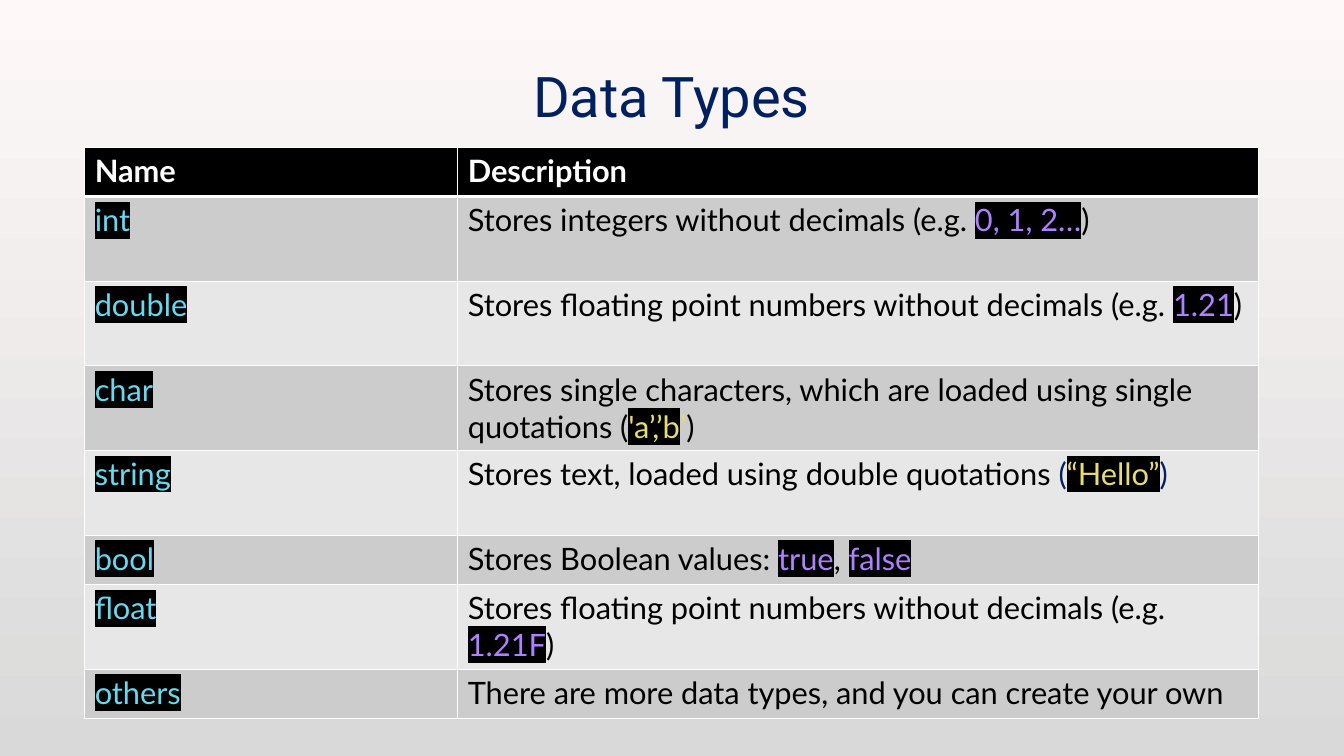
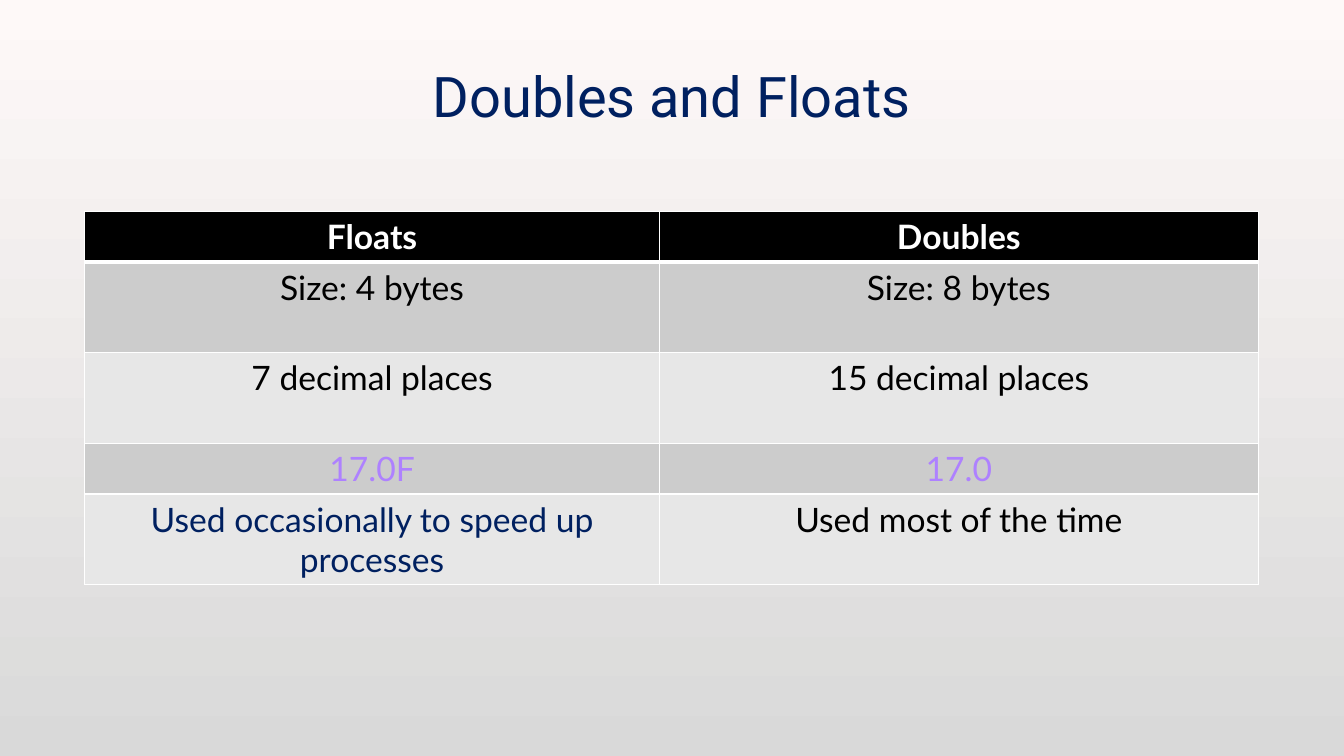
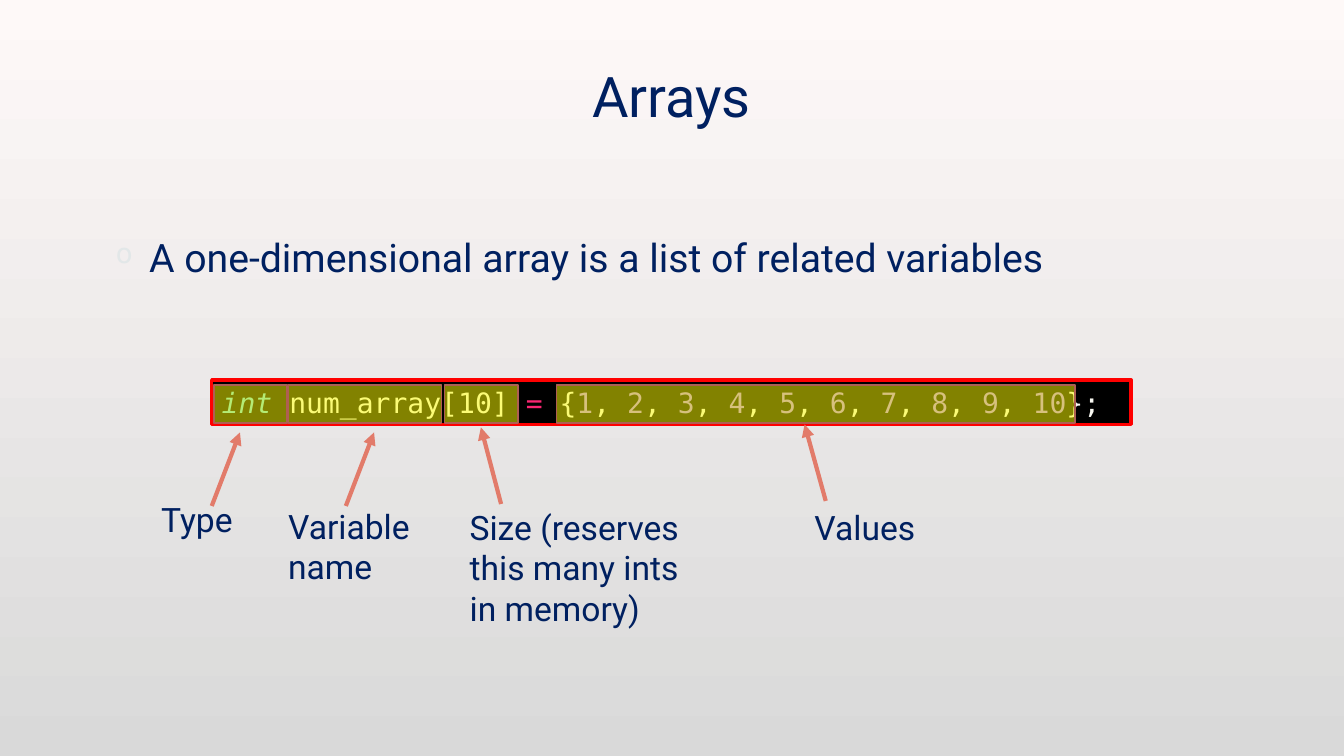
import pptx
import pptx.dml.color
import pptx.enum.shapes
import pptx.enum.text
import pptx.oxml
import pptx.oxml.ns
import pptx.util
from pptx.util import Inches

NAVY, BLACK, WHITE = "002060", "000000", "FFFFFF"
CYAN, PURPLE, YELLOW, PINK, CODE_WHITE = "66D9EF", "AE81FF", "E6DB74", "F92672", "F8F8F2"
BAND_DARK, BAND_LIGHT = "CCCCCC", "E7E7E7"
CORAL, RUST = "E27B6A", "AF5F52"
HEADING_FONT, TABLE_FONT, CODE_FONT = "Roboto", "Lato", "DejaVu Sans Mono"
NAMESPACE = pptx.oxml.ns.nsdecls("a")
CENTER = pptx.enum.text.PP_ALIGN.CENTER
LEFT = pptx.enum.text.PP_ALIGN.LEFT
RECTANGLE = pptx.enum.shapes.MSO_SHAPE.RECTANGLE
STRAIGHT = pptx.enum.shapes.MSO_CONNECTOR.STRAIGHT


def color(hex_code):
    return pptx.dml.color.RGBColor.from_string(hex_code)


def add_run(paragraph, text, font, size, hex_code, bold=False, italic=False,
            highlight=False, shadow=False):
    run = paragraph.add_run()
    run.text = text
    run.font.name = font
    run.font.size = pptx.util.Pt(size)
    run.font.bold, run.font.italic = bold, italic
    run.font.color.rgb = color(hex_code)
    properties = run.font._element
    fill = properties.find(pptx.oxml.ns.qn("a:solidFill"))
    if highlight:
        fill.addnext(pptx.oxml.parse_xml(
            f'<a:highlight {NAMESPACE}><a:srgbClr val="{BLACK}"/></a:highlight>'))
    if shadow:
        fill.addprevious(pptx.oxml.parse_xml(
            f'<a:ln {NAMESPACE} w="9525"><a:solidFill><a:srgbClr val="404040">'
            '<a:alpha val="10000"/></a:srgbClr></a:solidFill></a:ln>'))
        fill.addnext(pptx.oxml.parse_xml(
            f'<a:effectLst {NAMESPACE}><a:outerShdw blurRad="38100" dist="25400" dir="2700000">'
            f'<a:srgbClr val="{BLACK}"><a:alpha val="50000"/></a:srgbClr>'
            '</a:outerShdw></a:effectLst>'))


deck = pptx.Presentation()
deck.slide_width, deck.slide_height = Inches(13.33), Inches(7.5)

# Shared background
backdrop = deck.slide_master.background.fill
backdrop.gradient()
backdrop.gradient_angle = 270
for stop, shade in zip(backdrop.gradient_stops, ("FEF9F8", "D9D9D9")):
    stop.color.rgb = color(shade)

# Slides and their titles
slides = []
for heading in ("Data Types", "Doubles and Floats", "Arrays"):
    slide = deck.slides.add_slide(deck.slide_layouts[6])
    title = slide.shapes.add_textbox(Inches(1), Inches(0.25), Inches(11.32), Inches(1.38)).text_frame
    title.word_wrap = True
    title.vertical_anchor = pptx.enum.text.MSO_ANCHOR.MIDDLE
    title.paragraphs[0].alignment = CENTER
    add_run(title.paragraphs[0], heading, HEADING_FONT, 40, NAVY, shadow=True)
    slides.append(slide)
types_slide, sizes_slide, arrays_slide = slides

# Table content: each cell is a list of (text, colour, highlighted) runs
floating = "Stores floating point numbers without decimals (e.g. "
type_descriptions = [
    ("int", [("Stores integers without decimals (e.g. ", BLACK, False),
             ("0, 1, 2…", PURPLE, True), (")", BLACK, False)]),
    ("double", [(floating, BLACK, False), ("1.21", PURPLE, True), (")", BLACK, False)]),
    ("char", [("Stores single characters, which are loaded using single quotations (", BLACK, False),
              ("'a’,’b", YELLOW, True), ("’", YELLOW, False), (")", BLACK, False)]),
    ("string", [("Stores text, loaded using double quotations ", BLACK, False), ("(", NAVY, False),
                ("“Hello”", YELLOW, True), (")", NAVY, False)]),
    ("bool", [("Stores Boolean values: ", BLACK, False), ("true", PURPLE, True),
              (", ", BLACK, False), ("false", PURPLE, True)]),
    ("float", [(floating, BLACK, False), ("1.21F", PURPLE, True), (")", BLACK, False)]),
    ("others", [("There are more data types, and you can create your own", BLACK, False)]),
]
type_rows = [[[(name, CYAN, True)], description] for name, description in type_descriptions]
size_rows = [[[(floats, left, False)], [(doubles, right, False)]] for floats, left, doubles, right in (
    ("Size: 4 bytes", BLACK, "Size: 8 bytes", BLACK),
    ("7 decimal places", BLACK, "15 decimal places", BLACK),
    ("17.0F", PURPLE, "17.0", PURPLE),
    ("Used occasionally to speed up processes", NAVY, "Used most of the time", BLACK),
)]

# Tables: slide, top, font size, alignment, column widths, row heights, header, body
for slide, top, size, alignment, widths, heights, header, body in (
    (types_slide, 1.46, 22, LEFT, (3.7, 7.94),
     (0.49, 0.84, 0.84, 0.84, 0.84, 0.49, 0.84, 0.49), ("Name", "Description"), type_rows),
    (sizes_slide, 2.1, 24, CENTER, (5.7, 5.94),
     (0.5, 0.9, 0.9, 0.5, 0.9), ("Floats", "Doubles"), size_rows),
):
    rows = [[[(label, WHITE, False)] for label in header]] + body
    table = slide.shapes.add_table(len(rows), 2, Inches(0.84), Inches(top),
                                   Inches(sum(widths)), Inches(sum(heights))).table
    for column, width in zip(table.columns, widths):
        column.width = Inches(width)
    for row_number, (row, height) in enumerate(zip(rows, heights)):
        table.rows[row_number].height = Inches(height)
        band = BLACK if row_number == 0 else BAND_DARK if row_number % 2 else BAND_LIGHT
        for column_number, runs in enumerate(row):
            cell = table.cell(row_number, column_number)
            for side in "LRTB":
                thick = (row_number, side) in ((0, "B"), (1, "T"))
                cell._tc.get_or_add_tcPr().append(pptx.oxml.parse_xml(
                    f'<a:ln{side} {NAMESPACE} w="{38100 if thick else 12700}"><a:solidFill>'
                    f'<a:srgbClr val="{WHITE}"/></a:solidFill></a:ln{side}>'))
            cell.fill.solid()
            cell.fill.fore_color.rgb = color(band)
            paragraph = cell.text_frame.paragraphs[0]
            paragraph.alignment = alignment
            for text, hex_code, highlighted in runs:
                add_run(paragraph, text, TABLE_FONT, size, hex_code,
                        bold=row_number == 0, highlight=highlighted)

# Array definition
definition = arrays_slide.shapes.add_textbox(
    Inches(1), Inches(2.27), Inches(11.32), Inches(4.06)).text_frame
definition.word_wrap = True
point = definition.paragraphs[0]
point.space_after = pptx.util.Pt(6)
bullet = point._p.get_or_add_pPr()
bullet.set("marL", str(Inches(0.38)))
bullet.set("indent", str(Inches(-0.33)))
for markup in (f'<a:buClr {NAMESPACE}><a:srgbClr val="E2E7E8"/></a:buClr>',
               f'<a:buSzPct {NAMESPACE} val="70000"/>',
               f'<a:buChar {NAMESPACE} char="o"/>'):
    bullet.append(pptx.oxml.parse_xml(markup))
add_run(point, "A one-dimensional array is a list of related variables",
        HEADING_FONT, 28, NAVY, shadow=True)

# Line of code
code = arrays_slide.shapes.add_shape(RECTANGLE, Inches(2.1), Inches(3.77), Inches(9.12), Inches(0.44))
code.shadow.inherit = False
code.fill.solid()
code.fill.fore_color.rgb = color(BLACK)
code.line.color.rgb = color("FF0000")
code.line.width = pptx.util.Pt(2.5)
code.text_frame.word_wrap = True
statement = code.text_frame.paragraphs[0]
statement.alignment = LEFT
add_run(statement, "int ", CODE_FONT, 20, CYAN, italic=True)
tokens = [("num_array[10] ", CODE_WHITE), ("=", PINK), (" {", CODE_WHITE)]
for number in range(1, 11):
    tokens += [(str(number), PURPLE), (", " if number < 10 else "};", CODE_WHITE)]
for text, hex_code in tokens:
    add_run(statement, text, CODE_FONT, 20, hex_code)

# Parts of the code: marker left and width, arrow start and end, label and its box
for marker_left, marker_width, start, end, label, box in (
    (2.12, 0.73, (2.1, 5.02), (2.38, 4.29), "Type", (1.5, 4.9, 1.02, 0.5)),
    (2.86, 1.52, (3.43, 5.02), (3.71, 4.29), "Variable name", (2.76, 4.97, 1.73, 0.91)),
    (4.41, 0.73, (4.97, 5), (4.77, 4.24), "Size (reserves this many ints in memory)",
     (4.56, 4.98, 2.44, 1.31)),
    (5.52, 5.14, (8.19, 4.97), (7.98, 4.21), "Values", (7.98, 4.98, 5, 0.5)),
):
    marker = arrays_slide.shapes.add_shape(
        RECTANGLE, Inches(marker_left), Inches(3.82), Inches(marker_width), Inches(0.38))
    marker.shadow.inherit = False
    marker.fill.solid()
    marker.fill.fore_color.rgb = color("FFFF00")
    marker.fill._xPr.find(pptx.oxml.ns.qn("a:solidFill"))[0].append(
        pptx.oxml.parse_xml(f'<a:alpha {NAMESPACE} val="51000"/>'))
    marker.line.color.rgb = color(RUST)
    marker.line.width = pptx.util.Pt(1.25)

    arrow = arrays_slide.shapes.add_connector(STRAIGHT, *map(Inches, start + end))
    arrow.line.color.rgb = color(CORAL)
    arrow.line.width = pptx.util.Pt(3)
    arrow.line._get_or_add_ln().append(
        pptx.oxml.parse_xml(f'<a:tailEnd {NAMESPACE} type="triangle"/>'))
    arrow._element.spPr.append(pptx.oxml.parse_xml(f'<a:effectLst {NAMESPACE}/>'))

    caption = arrays_slide.shapes.add_textbox(*map(Inches, box)).text_frame
    caption.word_wrap = True
    add_run(caption.paragraphs[0], label, HEADING_FONT, 24, NAVY)

deck.save("out.pptx")
